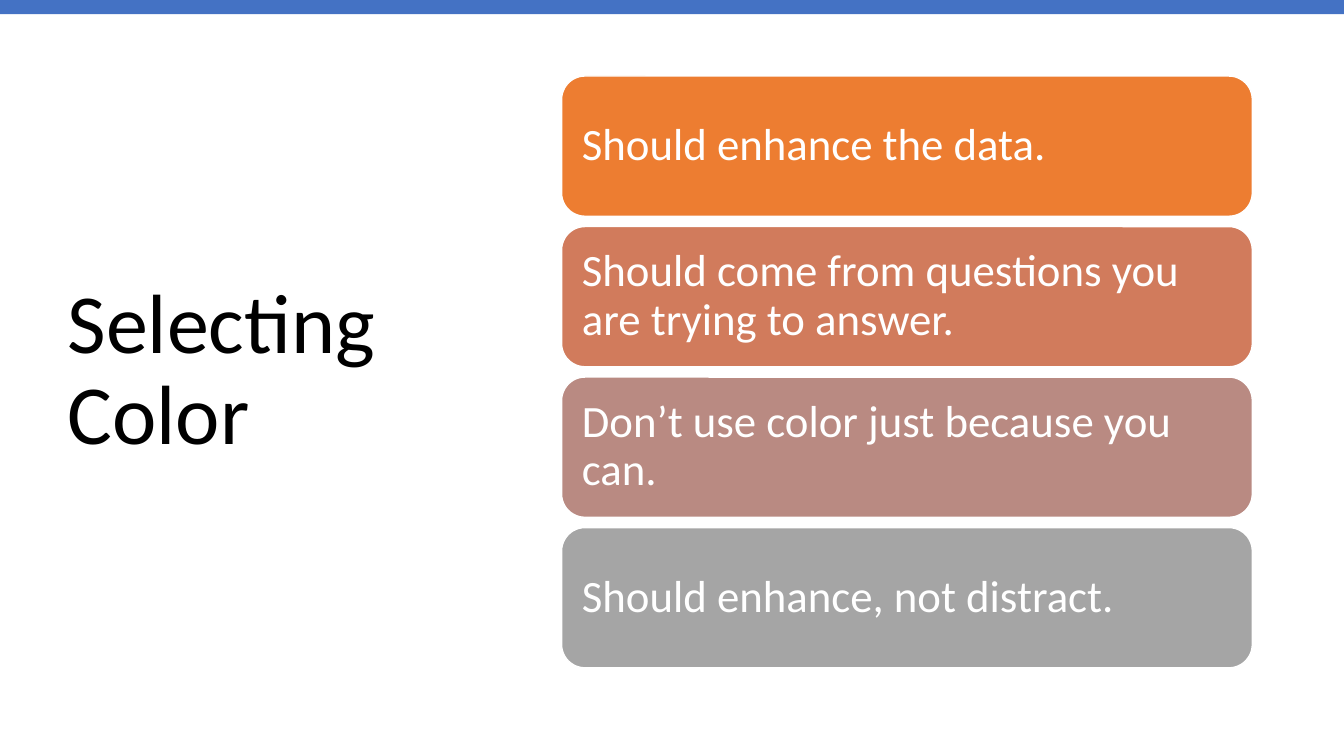
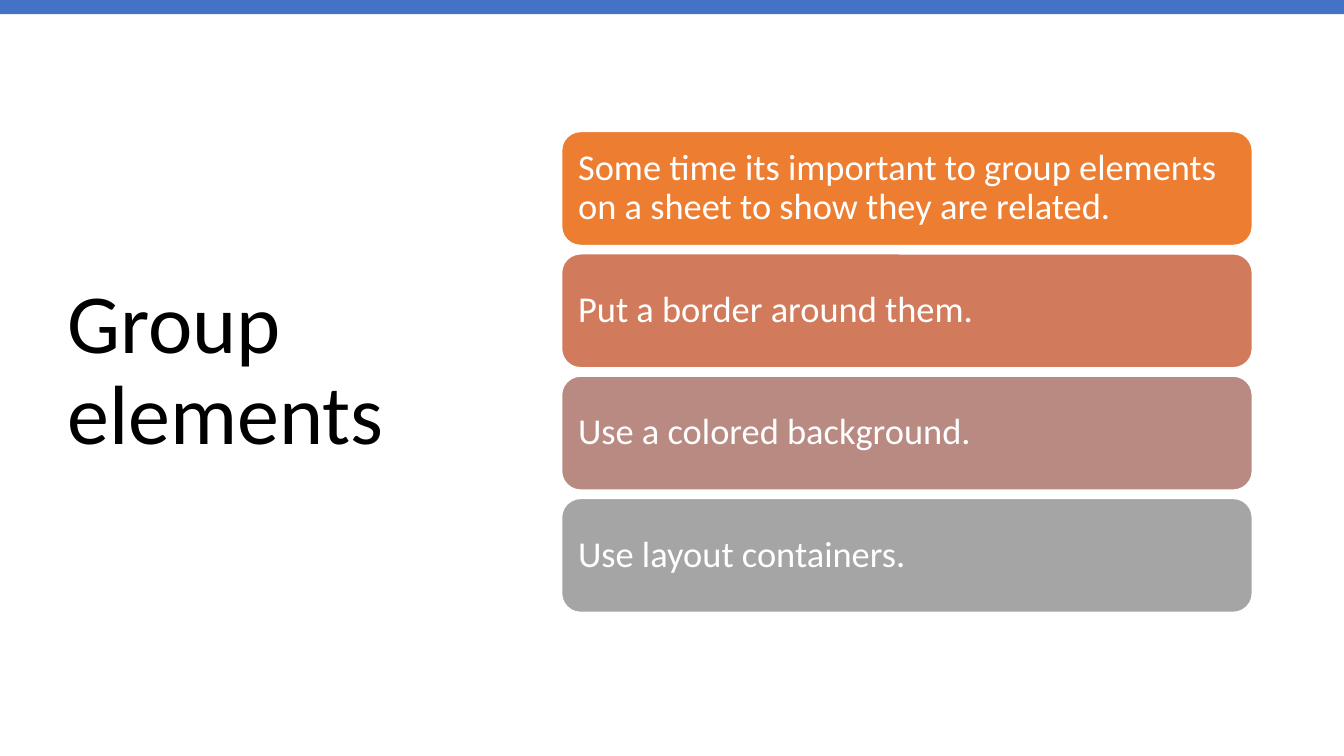
import dataclasses

import pptx
import pptx.dml.color
import pptx.enum.shapes
import pptx.enum.text
import pptx.util

RGB = pptx.dml.color.RGBColor.from_string
Pt = pptx.util.Pt
KIND = pptx.enum.shapes.MSO_SHAPE
LEFT = pptx.enum.text.PP_ALIGN.LEFT
MID = pptx.enum.text.MSO_ANCHOR.MIDDLE


@dataclasses.dataclass
class Theme:
    font: str = "Calibri"
    ink: str = "000000"
    paper: str = "FFFFFF"
    band: str = "4472C4"
    cards: tuple = ("ED7D31", "D17B5C", "B98A82", "A5A5A5")
    title: int = 60
    large: int = 32
    small: int = 26


theme = Theme()

deck = pptx.Presentation()
deck.slide_width = pptx.util.Inches(13.33)
deck.slide_height = pptx.util.Inches(7.5)
col = deck.slide_width / 100
row = deck.slide_height / 100


def place(shape, x, y, wide, high):
    shape.left, shape.top = round(x), round(y)
    shape.width, shape.height = round(wide), round(high)


def write(shape, text, size, color):
    frame = shape.text_frame
    frame.text = text
    frame.word_wrap = True
    frame.auto_size = pptx.enum.text.MSO_AUTO_SIZE.NONE
    frame.vertical_anchor = MID
    para = frame.paragraphs[0]
    para.alignment = LEFT
    para.line_spacing = 0.9
    para.font.name = theme.font
    para.font.size = Pt(size)
    para.font.color.rgb = RGB(color)


pages = [
    ("Selecting Color", theme.large, [
        "Should enhance the data.",
        "Should come from questions you are trying to answer.",
        "Don’t use color just because you can.",
        "Should enhance, not distract.",
    ]),
    ("Group elements", theme.small, [
        "Some time its important to group elements on a sheet to show they are related.",
        "Put a border around them.",
        "Use a colored background.",
        "Use layout containers.",
    ]),
]

for head, size, points in pages:
    slide = deck.slides.add_slide(deck.slide_layouts[5])
    title = slide.shapes.title
    place(title, 4.28 * col, 9.07 * row, 31.2 * col, 80.27 * row)
    write(title, head, theme.title, theme.ink)

    band = slide.shapes.add_shape(KIND.RECTANGLE, 0, 0, deck.slide_width, round(1.87 * row))
    band.shadow.inherit = False
    band.fill.solid()
    band.fill.fore_color.rgb = RGB(theme.band)
    band.line.fill.background()

    # Card height, gap and inset all scale with the type size.
    em = Pt(size)
    high, gap, inset = 3.13 * em, 0.23 * em, round(0.3 * em)
    stack = len(points) * (high + gap) - gap
    top = 49.2 * row - stack / 2
    for i, (text, fill) in enumerate(zip(points, theme.cards)):
        card = slide.shapes.add_shape(KIND.ROUNDED_RECTANGLE, 0, 0, 0, 0)
        place(card, 41.79 * col, top + i * (high + gap), 51.39 * col, high)
        card.shadow.inherit = False
        card.fill.solid()
        card.fill.fore_color.rgb = RGB(fill)
        card.line.color.rgb = RGB(theme.paper)
        card.line.width = Pt(1)
        write(card, text, size, theme.paper)
        frame = card.text_frame
        frame.margin_left = frame.margin_right = inset
        frame.margin_top = frame.margin_bottom = inset

deck.save("out.pptx")
